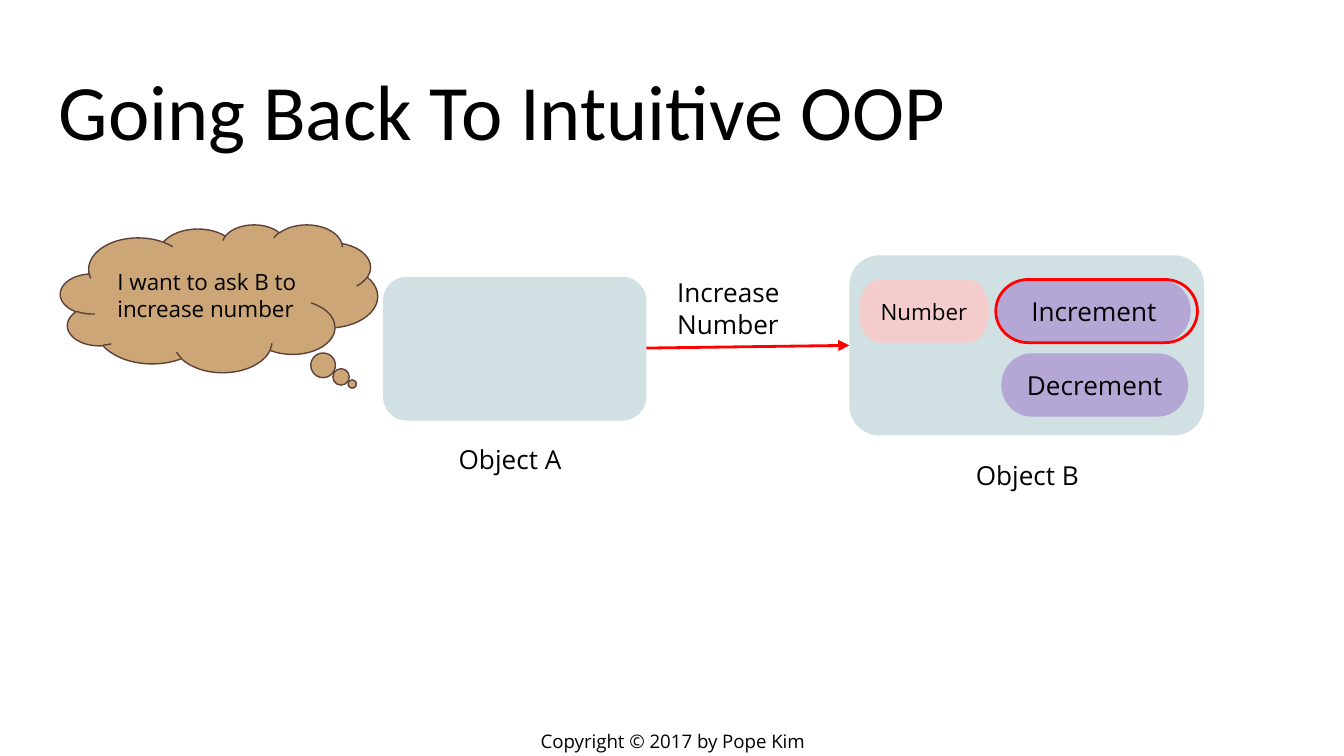
from lxml.etree import SubElement
from pptx import Presentation
from pptx.dml.color import RGBColor
from pptx.enum.shapes import MSO_CONNECTOR, MSO_SHAPE
from pptx.enum.text import MSO_ANCHOR, PP_ALIGN
from pptx.oxml.ns import qn
from pptx.util import Inches, Pt

CELL = 0.1  # inches per grid column and row
BLACK, RED, BROWN = "000000", "FF0000", "5D4037"
TEAL, PINK, LILAC, TAN = "D0E0E3", "F4CCCC", "B4A7D6", "CCA677"
LEFT, MID = PP_ALIGN.LEFT, PP_ALIGN.CENTER


def color(code):
    return RGBColor.from_string(code)


def grid(*cells):
    return [Inches(n * CELL) for n in cells]


class Sketch:
    """Draws on one slide; places are (column, row, columns, rows)."""

    font = "Open Sans"

    def __init__(self, deck):
        self.slide = deck.slides.add_slide(deck.slide_layouts[6])
        self.shapes = self.slide.shapes

    def label(self, shape, words, size, align, anchor, font=None):
        frame = shape.text_frame
        frame.word_wrap = True
        frame.vertical_anchor = anchor
        frame.margin_left = frame.margin_right = Inches(0.1)
        frame.margin_top = frame.margin_bottom = Inches(0.1)
        line = frame.paragraphs[0]
        line.alignment = align
        run = line.add_run()
        run.text = words
        run.font.size = Pt(size)
        run.font.name = font or self.font
        run.font.color.rgb = color(BLACK)

    def text(self, place, words, size=14, align=MID,
             anchor=MSO_ANCHOR.TOP, font=None):
        box = self.shapes.add_textbox(*grid(*place))
        self.label(box, words, size, align, anchor, font)

    def stroke(self, line, code, width):
        line.color.rgb = color(code)
        line.width = Pt(width)

    def shape(self, kind, place, fill=None, edge=None, width=1.5,
              words="", size=14, align=MID, adjust=()):
        item = self.shapes.add_shape(kind, *grid(*place))
        item.shadow.inherit = False
        for i, value in enumerate(adjust):
            item.adjustments[i] = value
        if fill:
            item.fill.solid()
            item.fill.fore_color.rgb = color(fill)
        else:
            item.fill.background()
        if edge:
            self.stroke(item.line, edge, width)
        else:
            item.line.fill.background()
        if words:
            self.label(item, words, size, align, MSO_ANCHOR.MIDDLE)

    def panel(self, place):
        self.shape(MSO_SHAPE.ROUNDED_RECTANGLE, place, TEAL)

    def pill(self, place, fill=None, words="", **look):
        self.shape(MSO_SHAPE.FLOWCHART_TERMINATOR, place, fill,
                   words=words, **look)

    def arrow(self, start, end, code, width=1.5):
        link = self.shapes.add_connector(
            MSO_CONNECTOR.STRAIGHT, *grid(*start, *end))
        self.stroke(link.line, code, width)
        props = link._element.spPr
        SubElement(props.find(qn("a:ln")), qn("a:tailEnd"), type="triangle")
        SubElement(props, qn("a:effectLst"))


def main():
    deck = Presentation()
    deck.slide_width, deck.slide_height = grid(100, 56.25)
    art = Sketch(deck)

    art.text((37.7, 54.1, 24.7, 2.1), "Copyright © 2017 by Pope Kim", 10,
             anchor=MSO_ANCHOR.MIDDLE)
    art.text((3.4, 3.5, 93.2, 9.1), "Going Back To Intuitive OOP", 42,
             LEFT, MSO_ANCHOR.BOTTOM, "Calibri")

    art.panel((28.5, 20.6, 19.6, 10.7))
    art.text((33, 32, 9.9, 3.6), "Object A")

    art.text((70.3, 33.2, 12.3, 4), "Object B")
    art.panel((63.2, 19, 26.4, 13.4))
    top, tall = 20.8, 4.7
    art.pill((63.9, top, 9.7, tall), PINK, "Number", size=12)
    art.pill((74.2, top, 14.4, tall), LILAC, "Increment")
    art.pill((74.5, top + 5.5, 13.9, tall), LILAC, "Decrement")

    art.shape(MSO_SHAPE.CLOUD_CALLOUT, (4.5, 16.7, 23.6, 11), TAN, BROWN,
              0.75, "I want to ask B to increase number", 12, LEFT,
              (0.42, 0.58))
    art.pill((74.1, top, 15, tall), edge=RED)

    art.arrow((48.1, 25.9), (63.2, 25.7), RED)
    art.text((49.4, 19.6, 12.4, 5.5), "Increase Number", align=LEFT)

    deck.save("out.pptx")


if __name__ == "__main__":
    main()
